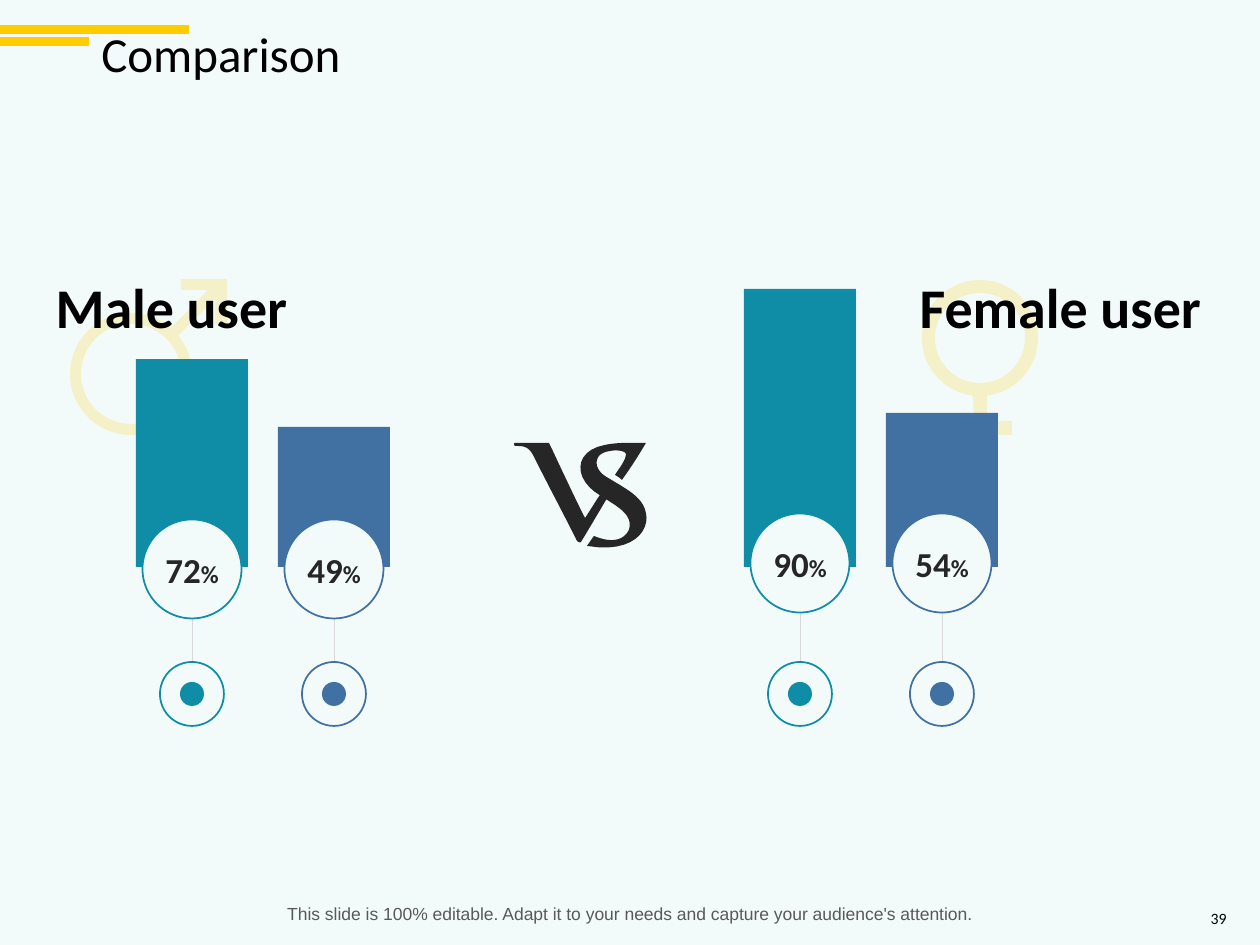
from math import cos, radians, sin

from lxml.etree import SubElement
from pptx import Presentation
from pptx.dml.color import RGBColor
from pptx.enum.shapes import MSO_CONNECTOR, MSO_SHAPE
from pptx.enum.text import MSO_ANCHOR, PP_ALIGN
from pptx.oxml.ns import qn
from pptx.util import Emu, Pt

EMU_PER_PX = 914400 / 126
WIDTH, HEIGHT = 1260, 945

MINT = RGBColor(0xF2, 0xFB, 0xFA)
YELLOW = RGBColor(0xFF, 0xCC, 0x00)
TEAL = RGBColor(0x0F, 0x8C, 0xA6)
BLUE = RGBColor(0x41, 0x70, 0xA3)
BLACK = RGBColor(0x00, 0x00, 0x00)
CHARCOAL = RGBColor(0x26, 0x26, 0x26)
GREY = RGBColor(0x59, 0x59, 0x59)
PALE_GREY = RGBColor(0xD9, 0xD9, 0xD9)

BASELINE = 567
BAR_WIDTH = 112
BAR_STEP = 142
BADGE = 99
ICON_RING = 64
ICON_MARK = 24
ICON_CENTER = 694


def px(length):
    return Emu(round(length * EMU_PER_PX))


def arc(cx, cy, radius, start, end, steps=72):
    """Points on a circle, angles in degrees."""
    angles = [radians(start + (end - start) * i / steps) for i in range(steps + 1)]
    return [(cx + radius * cos(a), cy + radius * sin(a)) for a in angles]


def trace(start, *segments, steps=12):
    """Flatten lines (x, y) and cubic curves (x1, y1, x2, y2, x, y) to points."""
    points = [start]
    for segment in segments:
        if len(segment) == 2:
            points.append(segment)
            continue
        x0, y0 = points[-1]
        x1, y1, x2, y2, x3, y3 = segment
        for i in range(1, steps + 1):
            t = i / steps
            a, b, c, d = (1 - t) ** 3, 3 * t * (1 - t) ** 2, 3 * t * t * (1 - t), t ** 3
            points.append((a * x0 + b * x1 + c * x2 + d * x3,
                           a * y0 + b * y1 + c * y2 + d * y3))
    return points


class SlideBuilder:
    def __init__(self, slide, font="Calibri"):
        self.slide = slide
        self.shapes = slide.shapes
        self.font = font

    def background(self, color):
        fill = self.slide.background.fill
        fill.solid()
        fill.fore_color.rgb = color

    def paint(self, shape, fill, line=None):
        shape.shadow.inherit = False
        shape.fill.solid()
        shape.fill.fore_color.rgb = fill
        if line is None:
            shape.line.fill.background()
        else:
            shape.line.color.rgb = line
            shape.line.width = Pt(1)

    def rect(self, x, y, w, h, fill):
        box = self.shapes.add_shape(MSO_SHAPE.RECTANGLE, px(x), px(y), px(w), px(h))
        self.paint(box, fill)

    def circle(self, cx, cy, size, fill, line=None):
        disc = self.shapes.add_shape(MSO_SHAPE.OVAL, px(cx - size / 2), px(cy - size / 2),
                                     px(size), px(size))
        self.paint(disc, fill, line)

    def stem(self, x, top, bottom):
        link = self.shapes.add_connector(MSO_CONNECTOR.STRAIGHT, px(x), px(top), px(x), px(bottom))
        link.line.color.rgb = PALE_GREY
        link.line.width = Pt(0.5)
        SubElement(link._element.spPr, qn("a:effectLst"))

    def outline(self, contours, fill, opacity=100):
        first, *others = [[(px(x), px(y)) for x, y in contour] for contour in contours]
        builder = self.shapes.build_freeform(*first[0], scale=1.0)
        builder.add_line_segments(first[1:], close=True)
        for contour in others:
            builder.move_to(*contour[0])
            builder.add_line_segments(contour[1:], close=True)
        figure = builder.convert_to_shape()
        self.paint(figure, fill)
        if opacity < 100:
            color = figure.fill._xPr.find(qn("a:solidFill"))[0]
            SubElement(color, qn("a:alpha"), val=str(opacity * 1000))

    def text(self, x, y, w, h, runs, color, bold=False, align=PP_ALIGN.CENTER,
             anchor=MSO_ANCHOR.TOP, font=None, spacing=None):
        frame = self.shapes.add_textbox(px(x), px(y), px(w), px(h)).text_frame
        frame.word_wrap = True
        frame.vertical_anchor = anchor
        paragraph = frame.paragraphs[0]
        paragraph.alignment = align
        if spacing:
            paragraph.line_spacing = spacing
        for words, size in runs:
            run = paragraph.add_run()
            run.text = words
            run.font.name = font or self.font
            run.font.size = Pt(size)
            run.font.bold = bold
            run.font.color.rgb = color

    def user_column(self, center, bar_height, badge_center, percent, color):
        self.rect(center - BAR_WIDTH / 2, BASELINE - bar_height, BAR_WIDTH, bar_height, color)
        self.stem(center, 557, 680)
        self.circle(center, badge_center, BADGE, MINT, color)
        self.text(center - 46, badge_center - 27, 92, 55,
                  [(percent, 20), ("%", 14)], CHARCOAL, bold=True)
        self.circle(center, ICON_CENTER, ICON_RING, MINT, color)
        self.circle(center, ICON_CENTER, ICON_MARK, color)


def main():
    deck = Presentation()
    deck.slide_width, deck.slide_height = px(WIDTH), px(HEIGHT)
    page = SlideBuilder(deck.slides.add_slide(deck.slide_layouts[6]))
    page.background(MINT)

    # Title with accent stripes
    page.rect(0, 25, 189, 9, YELLOW)
    page.rect(0, 37, 89, 9, YELLOW)
    page.text(89, 19, 1154, 76, [("Comparison", 28)], BLACK, align=PP_ALIGN.LEFT,
              anchor=MSO_ANCHOR.MIDDLE, spacing=0.9)

    # VS lettering
    letter_v = trace(
        (514, 445), (514, 444, 514, 443, 515, 443), (549, 443),
        (553, 451, 577, 503, 585, 518), (586, 517, 597, 499, 600, 495),
        (603, 492, 609, 495, 606, 500), (603, 505, 583, 539, 581, 542),
        (580, 543, 577, 542, 576, 539), (561, 509, 548, 485, 533, 455),
        (528, 446, 523, 446, 515, 446))
    letter_s = trace(
        (601, 496), (573, 480, 573, 451, 605, 445), (619, 442, 636, 443, 646, 443),
        (639, 455, 630, 469, 622, 480), (620, 478, 617, 476, 615, 475),
        (621, 466, 625, 461, 626, 455), (627, 449, 607, 449, 600, 455),
        (595, 460, 595, 469, 605, 476), (624, 488, 643, 496, 646, 513),
        (650, 530, 634, 554, 587, 546), (594, 536),
        (601, 539, 621, 546, 629, 530), (634, 514, 616, 506, 601, 496))
    for letter in (letter_v, letter_s):
        page.outline([letter], CHARCOAL)

    # Male and female symbols: ring with arrow, ring with cross
    male = arc(131, 374, 61, -39, 311) + [
        (208, 290), (181, 290), (181, 279), (227, 279), (227, 324), (215, 324), (215, 299)]
    female = arc(980, 338, 58, 83, -263) + [
        (974, 421), (947, 421), (947, 435), (974, 435), (974, 460),
        (987, 460), (987, 435), (1012, 435), (1012, 421), (987, 421)]
    symbols = [(male, arc(131, 374, 50, 0, 360)), (female, arc(980, 338, 45, 0, 360))]

    # User groups: heading, its left and width, first column, badge height, bars
    groups = [
        ("Male user", 23, 297, 192, 569, [("72", 208), ("49", 140)]),
        ("Female user", 897, 327, 800, 563, [("90", 278), ("54", 154)]),
    ]
    for symbol, (heading, left, width, first, badge_center, bars) in zip(symbols, groups):
        page.outline(symbol, YELLOW, opacity=20)
        page.text(left, 266, width, 81, [(heading, 32)], BLACK, bold=True)
        for i, ((percent, height), color) in enumerate(zip(bars, (TEAL, BLUE))):
            page.user_column(first + i * BAR_STEP, height, badge_center, percent, color)

    # Footer
    page.text(57, 897, 1145, 34,
              [("This slide is 100% editable. Adapt it to your needs and capture "
                "your audience's attention.", 10)], GREY, font="Arial")
    page.text(1192, 907, 47, 23, [("39", 9)], BLACK, align=PP_ALIGN.RIGHT,
              anchor=MSO_ANCHOR.MIDDLE)

    deck.save("out.pptx")


if __name__ == "__main__":
    main()
